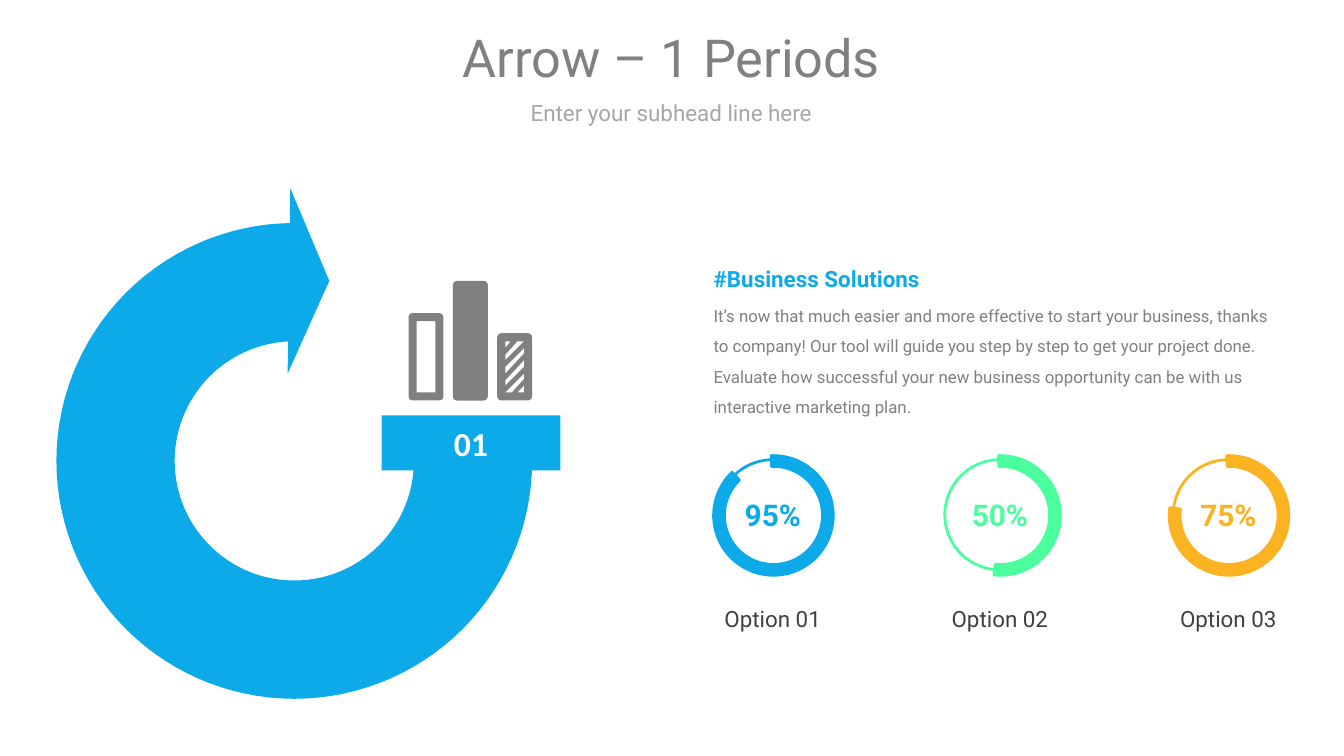
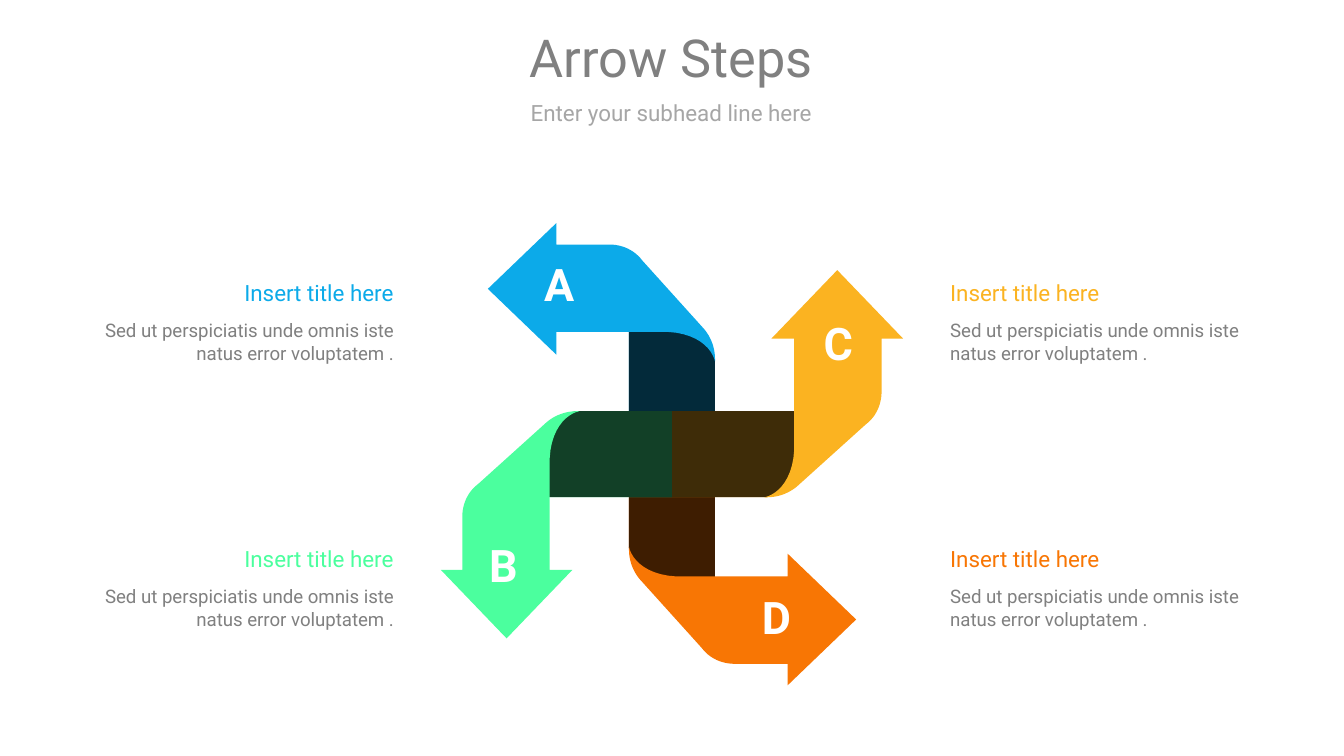
from math import cos, radians, sin

from lxml.etree import SubElement
from pptx import Presentation
from pptx.dml.color import RGBColor
from pptx.enum.shapes import MSO_SHAPE as Shape
from pptx.enum.text import MSO_ANCHOR as Anchor, MSO_AUTO_SIZE as AutoSize, PP_ALIGN as Align
from pptx.oxml.ns import qn
from pptx.util import Emu, Pt

PX = 9144  # EMU in one px, 100 px to the inch
COLORS = {
    "blue": "0CAAE9", "green": "4BFF9E", "yellow": "FBB321", "orange": "F87604",
    "grey": "808080", "light": "A6A6A6", "dark": "404040", "white": "FFFFFF", "black": "000000",
}


def rgb(name):
    return RGBColor.from_string(COLORS[name])


def flatten(steps, n=12):
    """Turn (x, y) points and (x1, y1, x2, y2, x, y) curves into plain points."""
    pts = []
    for step in steps:
        if len(step) == 2:
            pts.append(step)
            continue
        ctrl = [pts[-1], step[:2], step[2:4], step[4:]]
        for i in range(1, n + 1):
            t = i / n
            w = ((1 - t) ** 3, 3 * t * (1 - t) ** 2, 3 * t * t * (1 - t), t ** 3)
            pts.append(tuple(sum(k * c[d] for k, c in zip(w, ctrl)) for d in (0, 1)))
    return pts


def arc(cx, cy, radius, start, end, step=3):
    """Points on a circle; angles run clockwise from the right."""
    step = step if end > start else -step
    return [(cx + radius * cos(radians(a)), cy + radius * sin(radians(a)))
            for a in range(start, end + step, step)]


def box(x, y, w, h):
    return [(x, y), (x + w, y), (x + w, y + h), (x, y + h)]


def rounded(x, y, w, h, r=3):
    corners = ((x + w - r, y + r, 270), (x + w - r, y + h - r, 0),
               (x + r, y + h - r, 90), (x + r, y + r, 180))
    return [p for cx, cy, a in corners for p in arc(cx, cy, r, a, a + 90, 30)]


class Deck:
    font = "Roboto"

    def __init__(self):
        self.prs = Presentation()
        self.prs.slide_width, self.prs.slide_height = Emu(1000 * PX), Emu(5143500)
        self.slide = None

    def new_slide(self, title, subhead):
        self.slide = self.prs.slides.add_slide(self.prs.slide_layouts[1])
        head, sub = self.slide.placeholders
        self.place(head, 42, 15, 915, 54)
        self.label(head, title, 28, "grey", align=Align.CENTER, inset=0)
        self.place(sub, 42, 74, 915, 19)
        self.label(sub, subhead, 12, "light", align=Align.CENTER, inset=0, wrap=False)
        p = sub.text_frame.paragraphs[0]
        p.space_before = Pt(0)
        pPr = p._p.get_or_add_pPr()
        pPr.set("marL", "0")
        pPr.set("indent", "0")
        SubElement(pPr, qn("a:buNone"))

    def place(self, sp, x, y, w, h):
        sp.left, sp.top, sp.width, sp.height = (Emu(v * PX) for v in (x, y, w, h))

    def label(self, sp, text, size, color, bold=False, align=Align.LEFT, anchor=Anchor.MIDDLE,
              inset=None, wrap=True, spacing=None, font=None):
        tf = sp.text_frame
        tf.text = text
        tf.word_wrap = wrap
        tf.auto_size = AutoSize.NONE
        tf.vertical_anchor = anchor
        if inset is not None:
            tf.margin_left = tf.margin_top = tf.margin_right = tf.margin_bottom = inset
        p = tf.paragraphs[0]
        p.alignment = align
        if spacing:
            p.line_spacing = spacing
        r = p.runs[0]
        r.font.name, r.font.size, r.font.bold = font or self.font, Pt(size), bold
        r.font.color.rgb = rgb(color)

    def text(self, x, y, w, h, text, size, color, **style):
        sp = self.slide.shapes.add_textbox(*(Emu(v * PX) for v in (x, y, w, h)))
        self.label(sp, text, size, color, **style)

    def paint(self, sp, fill=None, line=None, alpha=None):
        sp.shadow.inherit = False
        if fill:
            sp.fill.solid()
            sp.fill.fore_color.rgb = rgb(fill)
        else:
            sp.fill.background()
        if alpha:
            clr = sp._element.spPr.find(qn("a:solidFill"))[0]
            SubElement(clr, qn("a:alpha")).set("val", str(alpha * 1000))
        if line:
            sp.line.color.rgb = rgb(line)
            sp.line.width = Pt(1.5)
        else:
            sp.line.fill.background()

    def shape(self, kind, x, y, w, h, fill=None, line=None):
        sp = self.slide.shapes.add_shape(kind, *(Emu(v * PX) for v in (x, y, w, h)))
        self.paint(sp, fill, line)
        return sp

    def outline(self, fill, *contours, alpha=None):
        """Filled polygon; contours after the first one are holes."""
        fb = None
        for pts in contours:
            pts = [(x * PX, y * PX) for x, y in pts]
            if fb is None:
                fb = self.slide.shapes.build_freeform(*pts[0])
            else:
                fb.move_to(*pts[0])
            fb.add_line_segments(pts[1:], close=True)
        self.paint(fb.convert_to_shape(), fill, alpha=alpha)

    def gauge(self, x, y, value, start, color, caption):
        ring = self.shape(Shape.OVAL, x + 3, y + 3, 82, 82, line=color)
        self.label(ring, value, 16, color, bold=True, align=Align.CENTER, inset=0)
        band = self.shape(Shape.BLOCK_ARC, x, y, 89, 89, color, color)
        for i, adj in enumerate((start, 163.31, 0.09)):
            band.adjustments[i] = adj
        band._element.spPr.xfrm.set("flipH", "1")
        self.text(x - 3, y + 106, 94, 30, caption, 12, "dark", align=Align.CENTER, wrap=False)


def one_period(s):
    s.new_slide("Arrow – 1 Periods", "Enter your subhead line here")

    # Round arrow with its numbered end
    s.outline("blue", arc(219, 343, 177, 270, 0) + arc(219, 343, 89, 0, 270))
    sp = s.shape(Shape.RECTANGLE, 284, 309, 133, 41, "blue")
    s.label(sp, "01", 18, "white", bold=True, align=Align.CENTER, font="Calibri")
    s.outline("blue", [(245, 209), (214, 278), (216, 140)])

    # Bar icon: hollow, hatched and solid
    hatch = [
        [(390, 287), (385, 292), (390, 292)],
        [(390, 278), (376, 292), (381, 292), (390, 282)],
        [(390, 268), (376, 283), (376, 287), (390, 273)],
        [(390, 259), (376, 273), (376, 278), (390, 263)],
        [(385, 254), (376, 264), (376, 268), (390, 254)],
        [(376, 254), (376, 259), (380, 254)],
    ]
    for x, y, holes in ((304, 233, [box(310, 239, 14, 53)]), (370, 248, hatch), (337, 209, [])):
        s.outline("grey", rounded(x, y, 26, 298 - y), *holes)

    # Gauges
    for x, value, start, color, caption in (
        (531, "95%", 188.26, "blue", "Option 01"),
        (700, "50%", 50.22, "green", "Option 02"),
        (870, "75%", 211.54, "yellow", "Option 03"),
    ):
        s.gauge(x, 339, value, start, color, caption)

    # Description
    s.text(531, 220, 425, 91,
           "It’s now that much easier and more effective to start your business, thanks to company! "
           "Our tool will guide you step by step to get your project done. Evaluate how successful "
           "your new business opportunity can be with us interactive marketing plan.",
           9, "grey", anchor=Anchor.TOP, inset=0, spacing=1.5)
    s.text(531, 197, 242, 20, "#Business Solutions", 12, "blue", bold=True,
           anchor=Anchor.TOP, inset=0)


def arrow_steps(s):
    s.new_slide("Arrow Steps", "Enter your subhead line here")

    # One folded arrow around the centre, repeated by quarter turns
    strip = flatten([(32, 93), (32, 0), (-32, 0), (-32, 69), (-32, 82, -21, 93, -8, 93)])
    arrow = flatten([
        (-24, 93), (22, 144), (28, 152, 37, 156, 47, 156), (86, 156), (86, 172), (137, 123),
        (86, 74), (86, 91), (10, 91), (-19, 92, -30, 78, -32, 69), (-32, 71),
        (-32, 79, -29, 87, -24, 93),
    ])

    def turned(pts, turns):
        for _ in range(turns):
            pts = [(y, -x) for x, y in pts]
        return [(500 + x, 338 + y) for x, y in pts]

    # Each pair: (colour, quarter turns, letter, letter left, letter top)
    pairs = (
        (("orange", 0, "D", 557, 434), ("blue", 2, "A", 395, 186)),
        (("yellow", 1, "C", 603, 230), ("green", 3, "B", 354, 395)),
    )
    for pair in pairs:
        for color, turns, *_ in pair:
            s.outline(color, turned(strip, turns))
            s.outline("black", turned(strip, turns), alpha=75)
        for color, turns, *_ in pair:
            s.outline(color, turned(arrow, turns))
        for _, _, letter, x, y in pair:
            s.text(x, y, 38, 55, letter, 24, "white", bold=True, anchor=Anchor.TOP)

    # Captions on both sides
    for color, on_right, y, width in (("orange", True, 406, 177), ("yellow", True, 208, 143),
                                      ("green", False, 406, 143), ("blue", False, 208, 177)):
        align = Align.LEFT if on_right else Align.RIGHT
        for top, w, h, text, size, c in (
            (y, width, 20, "Insert title here", 12, color),
            (y + 29, 221, 34, "Sed ut perspiciatis unde omnis iste natus error voluptatem .",
             10, "grey"),
        ):
            s.text(707 if on_right else 293 - w, top, w, h, text, size, c, align=align, inset=0)


def main():
    s = Deck()
    one_period(s)
    arrow_steps(s)
    s.prs.save("out.pptx")


if __name__ == "__main__":
    main()
